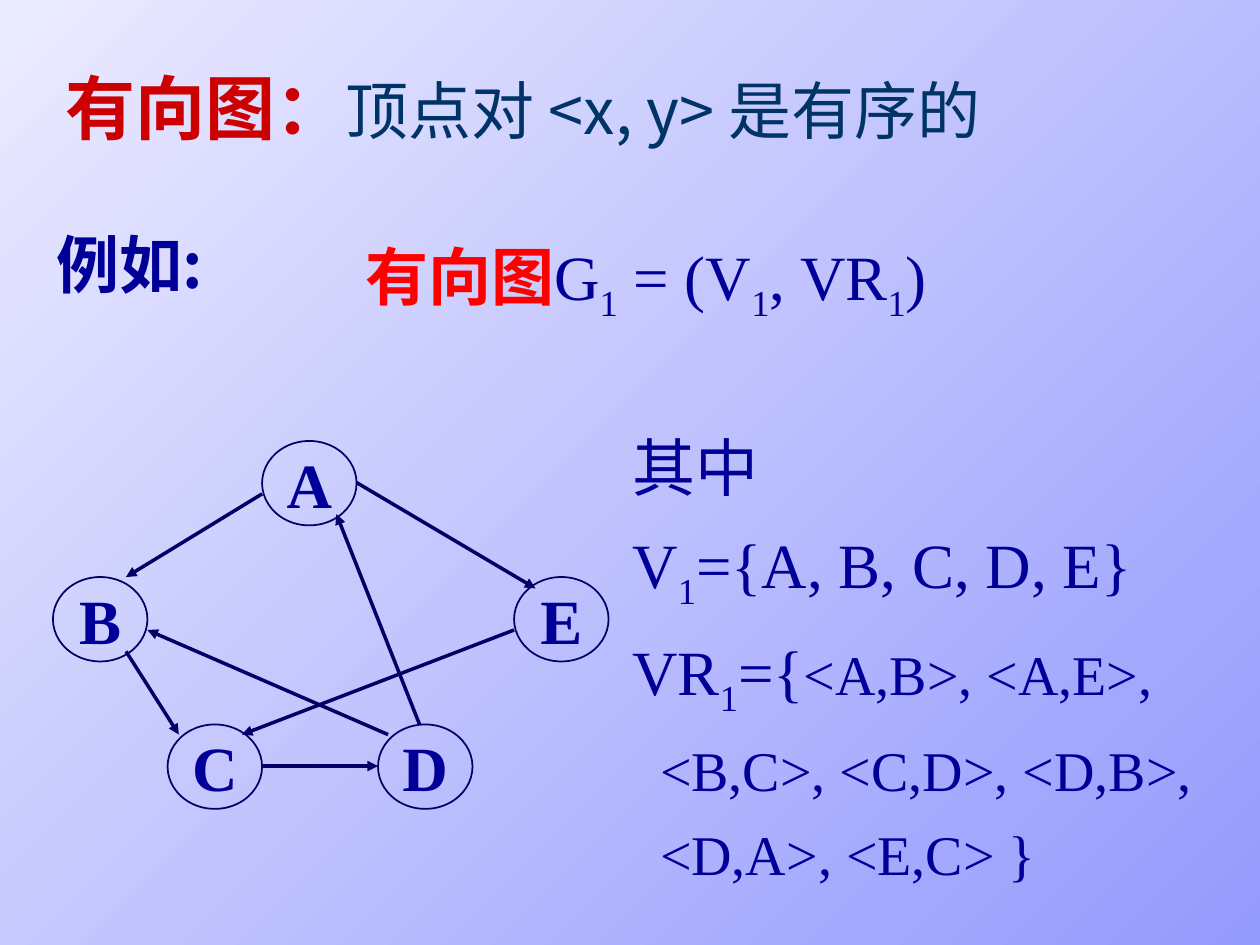
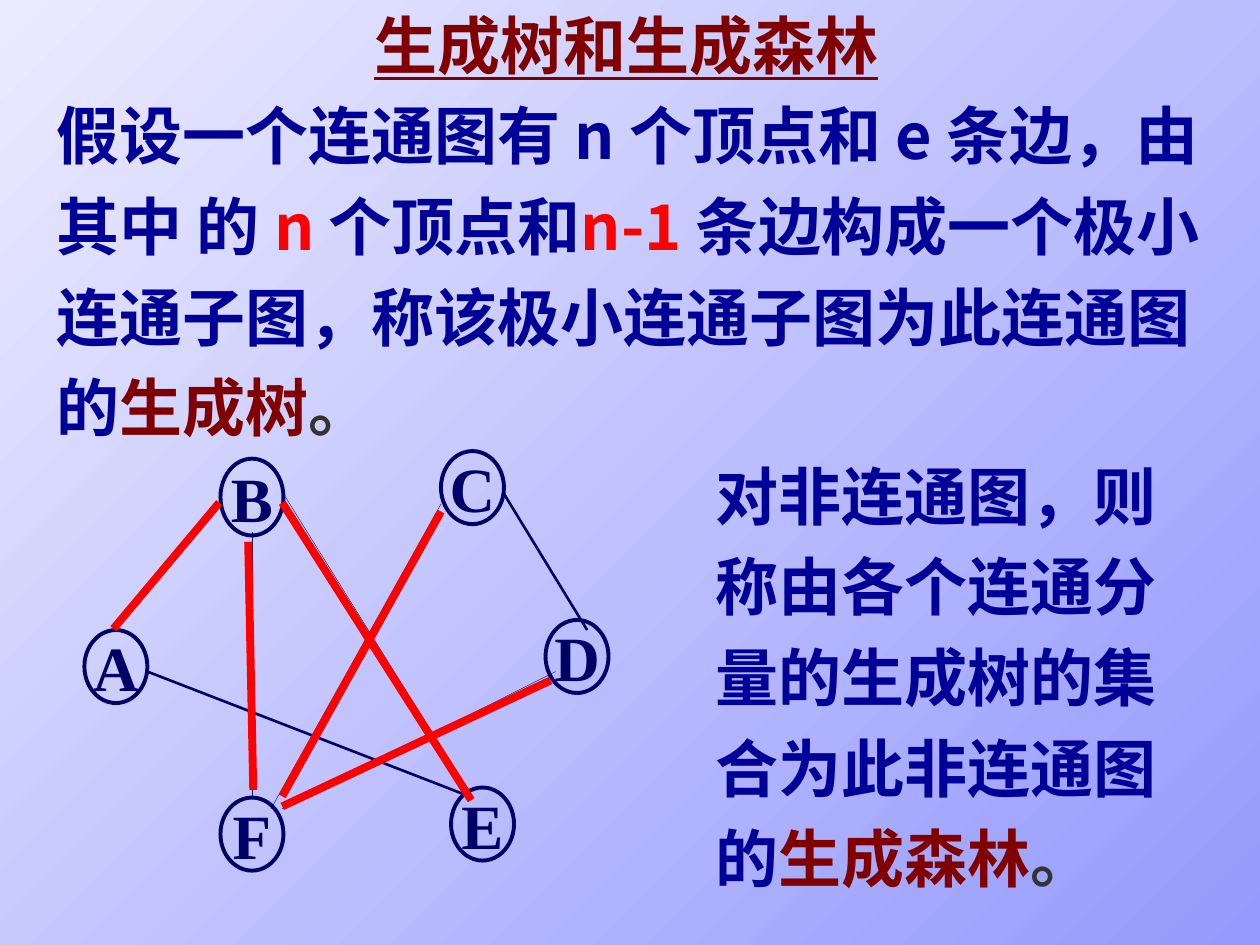
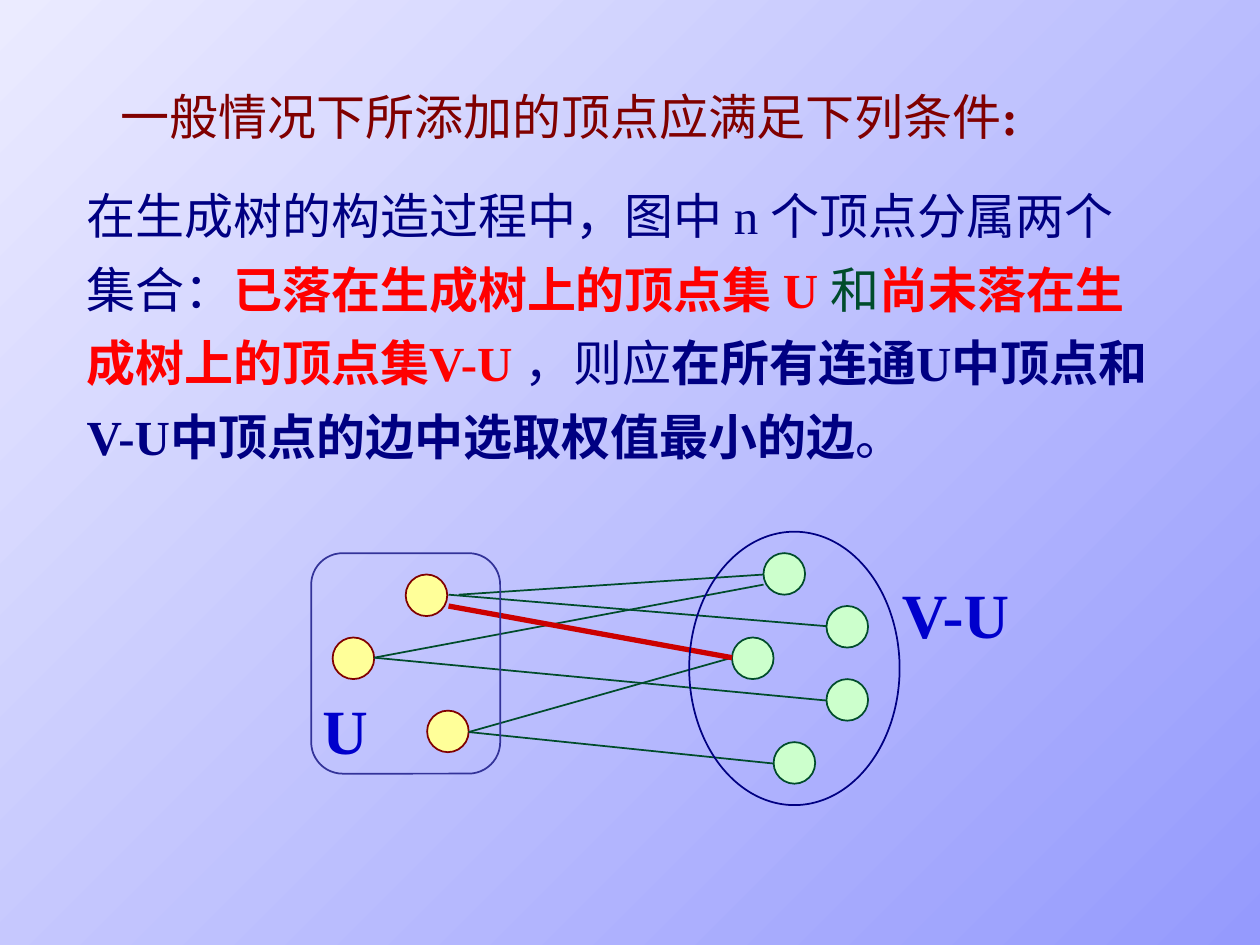
import lxml.etree
import pptx
import pptx.dml.color
import pptx.enum.shapes
import pptx.enum.text
import pptx.oxml.ns
import pptx.util

Inches = pptx.util.Inches
Pt = pptx.util.Pt
qn = pptx.oxml.ns.qn
PP_ALIGN = pptx.enum.text.PP_ALIGN
ANCHOR = pptx.enum.text.MSO_ANCHOR
SHAPE = pptx.enum.shapes.MSO_SHAPE

SANS = "Noto Sans CJK SC"
SANS_JP = "Noto Sans CJK JP"
SERIF = "Times New Roman"
INK, NAVY, DEEP = "000099", "000066", "000082"
RED, MAROON, GREEN = "FF0000", "800000", "004C2B"
BLUE, GREY, THIN = "0000CC", "333333", "002060"
SUB = {"sub": True}


def rgb(value):
    return pptx.dml.color.RGBColor.from_string(value)


class Deck:
    def __init__(self):
        self.prs = pptx.Presentation()
        self.prs.slide_width = Inches(10)
        self.prs.slide_height = Inches(7.5)
        fill = self.prs.slide_master.background.fill
        fill.gradient()
        fill.gradient_angle = 315
        for stop, color in zip(fill.gradient_stops, ("EBEBFF", "959AFD")):
            stop.color.rgb = rgb(color)
        self.slide = None

    def new_slide(self):
        self.slide = self.prs.slides.add_slide(self.prs.slide_layouts[5])

    def paragraph(self, p, runs, size=36, color=INK, font=SANS, bold=False,
                  spacing=1.0, align=PP_ALIGN.LEFT, underline=None, indent=0):
        p.alignment = align
        p.line_spacing = spacing
        if indent:
            pPr = p._p.get_or_add_pPr()
            pPr.set("marL", str(Inches(indent)))
            pPr.set("indent", "0")
        p.font.name = font
        p.font.size = Pt(size)
        p.font.bold = bold
        p.font.underline = underline
        p.font.color.rgb = rgb(color)
        east = SANS if font == SERIF else font
        lxml.etree.SubElement(p._p.pPr.find(qn("a:defRPr")), qn("a:ea"), typeface=east)
        for run in runs:
            text, style = (run, {}) if isinstance(run, str) else run
            r = p.add_run()
            r.text = text
            if "color" in style:
                r.font.color.rgb = rgb(style["color"])
            if "bold" in style:
                r.font.bold = style["bold"]
            if "size" in style:
                r.font.size = Pt(style["size"])
            if "sub" in style:
                r._r.get_or_add_rPr().set("baseline", "-25000")

    def frame(self, sp, anchor=ANCHOR.TOP, wrap=True):
        tf = sp.text_frame
        tf.auto_size = pptx.enum.text.MSO_AUTO_SIZE.NONE
        tf.word_wrap = wrap
        tf.vertical_anchor = anchor
        tf.margin_left = tf.margin_right = Inches(0.1)
        tf.margin_top = tf.margin_bottom = Inches(0.05)
        return tf

    def title(self, box, runs, **style):
        sp = self.slide.shapes.title
        sp.left, sp.top, sp.width, sp.height = map(Inches, box)
        self.paragraph(self.frame(sp).paragraphs[0], runs, **style)

    def text(self, box, *paragraphs, **style):
        sp = self.slide.shapes.add_textbox(*map(Inches, box))
        tf = self.frame(sp)
        for i, (runs, extra) in enumerate(paragraphs):
            p = tf.add_paragraph() if i else tf.paragraphs[0]
            self.paragraph(p, runs, **{**style, **extra})

    def shape(self, box, line, width=1, fill=None, kind=SHAPE.OVAL):
        sp = self.slide.shapes.add_shape(kind, *map(Inches, box))
        sp.shadow.inherit = False
        if fill:
            sp.fill.solid()
            sp.fill.fore_color.rgb = rgb(fill)
        else:
            sp.fill.background()
        sp.line.color.rgb = rgb(line)
        sp.line.width = Pt(width)
        return sp

    def node(self, label, box, width, color):
        sp = self.shape(box, NAVY, width)
        tf = self.frame(sp, ANCHOR.MIDDLE, wrap=False)
        self.paragraph(tf.paragraphs[0], [label], color=color, font=SERIF,
                       bold=True, align=PP_ALIGN.CENTER)

    def lines(self, ends, color, width, arrow=False):
        for points in ends:
            sp = self.slide.shapes.add_connector(
                pptx.enum.shapes.MSO_CONNECTOR.STRAIGHT, *map(Inches, points))
            sp.line.color.rgb = rgb(color)
            sp.line.width = Pt(width)
            spPr = sp._element.spPr
            if arrow:
                lxml.etree.SubElement(spPr.find(qn("a:ln")), qn("a:tailEnd"), type="triangle")
            lxml.etree.SubElement(spPr, qn("a:effectLst"))


def directed_graph(deck):
    deck.new_slide()
    deck.title((0.42, 0.33, 9.58, 0.9),
               [("有向图：", {"size": 40, "color": "CC0000", "bold": True}),
                "顶点对 <x, y> 是有序的"],
               color="003366", font=SANS_JP, spacing=1.2)
    nodes = {"A": (2.08, 3.5), "B": (0.42, 4.58), "C": (1.33, 5.75),
             "D": (3, 5.75), "E": (4.08, 4.58)}
    for label, corner in nodes.items():
        deck.node(label, (*corner, 0.75, 0.67), 1, INK)
    arcs = [
        (2.08, 3.92, 1, 4.58), (1, 5.17, 1.42, 5.83), (2.08, 6.08, 3, 6.08),
        (3.33, 5.75, 2.67, 4.08), (2.83, 3.83, 4.25, 4.67),
        (3.08, 5.83, 1.17, 5), (4.08, 5, 1.92, 5.83),
    ]
    deck.lines(arcs, NAVY, 2, arrow=True)
    deck.text((0.35, 1.62, 1.91, 0.82), (["例如:"], {}), bold=True, spacing=1.2)
    deck.text((2.8, 1.7, 6.61, 0.92),
              ([("有向图", {"color": RED, "bold": True}), "G", ("1", SUB),
                " = (V", ("1", SUB), ", VR", ("1", SUB), ")"], {}),
              font=SERIF, spacing=1.2)
    pairs = {"size": 32, "indent": 0.22}
    deck.text((4.92, 3.2, 4.67, 3.89),
              (["其中"], {"font": SANS}),
              (["V", ("1", SUB), "={A, B, C, D, E}"], {}),
              (["VR", ("1", SUB), "={", ("<A,B>, <A,E>,", {"size": 32})], {}),
              (["<B,C>, <C,D>, <D,B>,"], pairs),
              (["<D,A>, <E,C> }"], pairs),
              font=SERIF, spacing=1.25)


def spanning_tree(deck):
    deck.new_slide()
    deck.title((2.87, 0, 4.33, 0.7), ["生成树和生成森林"],
               color=MAROON, bold=True, underline=True)
    red, term, stop = {"color": RED}, {"color": MAROON}, ("。", {"color": GREY})
    deck.text((0.35, 0.6, 9.33, 2.98),
              (["假设一个连通图有 n 个顶点和 e 条边，由其中 的 ", ("n ", red),
                "个顶点和", ("n-1 ", red),
                "条边构成一个极小连通子图，称该极小连通子图为此连通图的",
                ("生成树", term), stop], {}),
              bold=True, spacing=1.2)
    deck.text((5.58, 3.46, 4.17, 3.7),
              (["对非连通图，则称由各个连通分量的生成树的集合为此非连通图的",
                ("生成森林", term), stop], {}),
              bold=True, spacing=1.2)
    graph_edges = [
        (2, 4.22, 2, 6.33), (1.75, 4, 0.91, 5), (2.25, 3.92, 3.75, 6.33),
        (3.5, 4, 2.15, 6.42), (4.41, 5.33, 2.24, 6.42),
    ]
    deck.lines(graph_edges, THIN, 0.25)
    deck.lines([(1.17, 5.33, 3.75, 6.33), (4, 3.92, 4.66, 5)], NAVY, 1.5)
    nodes = {"A": (0.67, 5, 0.58), "B": (1.75, 3.64, 0.61), "C": (3.5, 3.58, 0.58),
             "D": (4.33, 4.92, 0.58), "E": (3.58, 6.25, 0.58), "F": (1.75, 6.33, 0.58)}
    for label, (x, y, height) in nodes.items():
        deck.node(label, (x, y, 0.5, height), 2.25, NAVY)
    tree_edges = [
        (3.5, 4.06, 2.24, 6.32), (2.24, 3.99, 3.74, 6.35), (4.37, 5.4, 2.24, 6.4),
        (1.97, 4.3, 2.01, 6.27), (1.74, 3.99, 0.9, 4.99),
    ]
    deck.lines(tree_edges, RED, 4.5)


def vertex_condition(deck):
    deck.new_slide()
    deck.title((0.86, 0.52, 7.92, 0.75),
               ["一般情况下所添加的顶点应满足下列条件", (":", {"bold": True})],
               size=28, color=MAROON, font=SERIF, spacing=1.25)
    red = {"color": RED, "bold": True}
    deck.text((0.59, 1.31, 8.66, 2.44),
              (["在生成树的构造过程中，图中 n 个顶点分属两个集合：",
                ("已落在生成树上的顶点集 U ", red), ("和", {"color": GREEN}),
                ("尚未落在生成树上的顶点集V-U ", red), "，则应",
                ("在所有连通U中顶点和V-U中顶点的边中选取权值最小的边", {"bold": True}),
                "。"], {}),
              size=28, color=DEEP, font=SERIF, spacing=1.25)
    in_tree = [(3.22, 4.56), (2.64, 5.06), (3.39, 5.64)]
    outside = [(6.06, 4.39), (6.56, 4.81), (6.14, 5.89), (5.81, 5.06), (6.56, 5.39)]
    for dots, fill, line in ((in_tree, "FFFF99", MAROON), (outside, "CCFFCC", GREEN)):
        for corner in dots:
            deck.shape((*corner, 0.33, 0.33), line, fill=fill)
    candidates = [
        (3.64, 4.72, 6.06, 4.56), (2.97, 5.22, 6.56, 5.56), (3.72, 5.81, 6.14, 6.06),
        (3.72, 5.81, 5.81, 5.22), (3.56, 4.72, 6.56, 4.97), (2.97, 5.22, 6.06, 4.64),
    ]
    deck.lines(candidates, GREEN, 1)
    deck.lines([(3.56, 4.81, 5.81, 5.22)], "CC0000", 3)
    deck.shape((2.47, 4.39, 1.5, 1.75), "333399", kind=SHAPE.ROUNDED_RECTANGLE)
    deck.shape((5.47, 4.22, 1.67, 2.17), DEEP)
    for label, box in (("U", (2.46, 5.44, 0.56, 0.7)), ("V-U", (7.06, 4.52, 1.17, 0.7))):
        deck.text(box, ([label], {}), color=BLUE, font=SERIF, bold=True)


def main():
    deck = Deck()
    directed_graph(deck)
    spanning_tree(deck)
    vertex_condition(deck)
    deck.prs.save("out.pptx")


if __name__ == "__main__":
    main()
